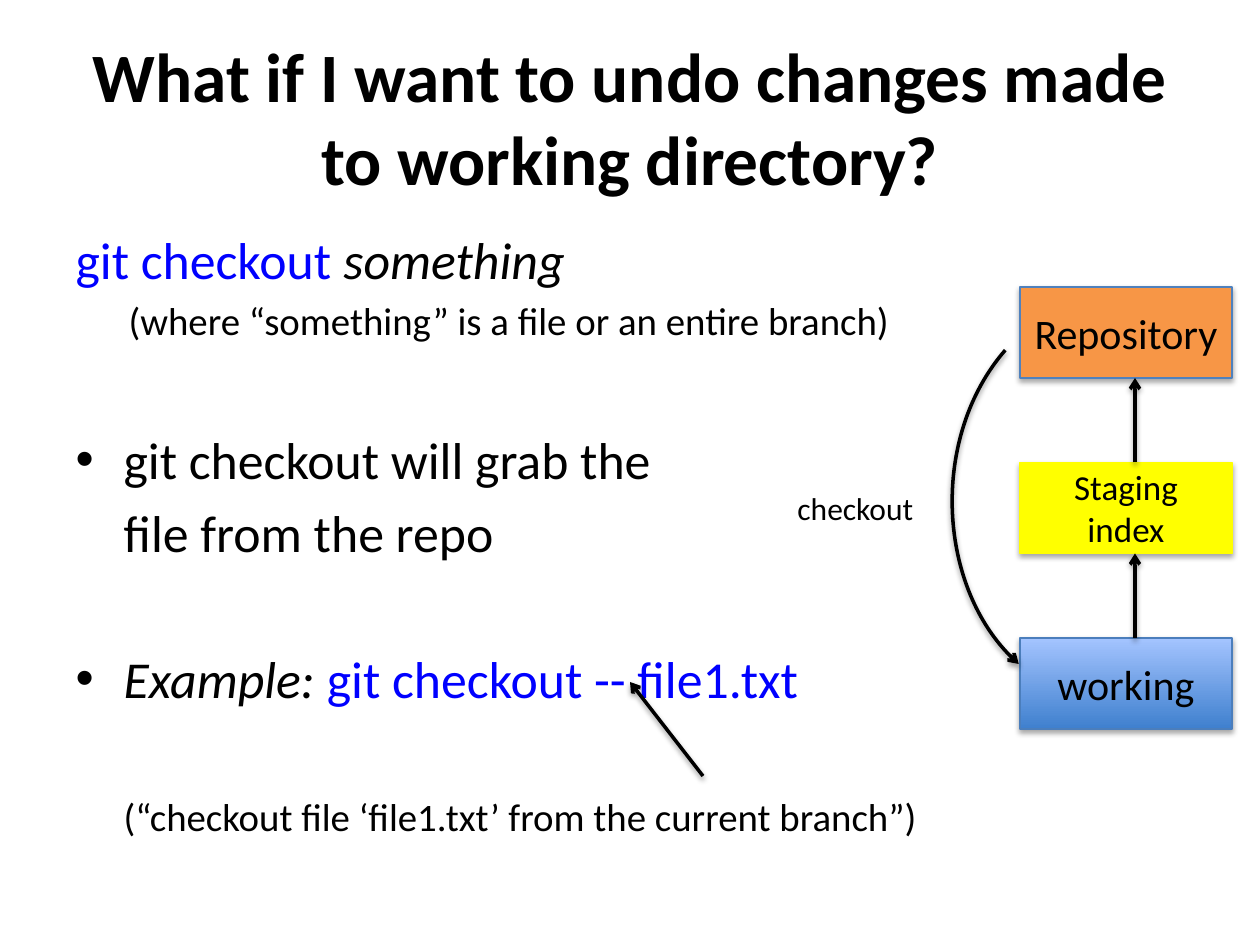
import lxml.etree
import pptx
import pptx.dml.color
import pptx.enum.shapes
import pptx.enum.text
import pptx.oxml.ns
import pptx.util

SCALE = 914400 / 126
FONT = "Calibri"
COLORS = {
    "text": "000000",
    "command": "0000FF",
    "repository": "F79646",
    "repository_line": "4F81BD",
    "staging": "FFFF00",
    "working_bottom": "3F80CE",
    "working_top": "A4C4FF",
    "working_line": "4B7EBC",
}


def px(length):
    """Turn a length in px into EMU."""
    return pptx.util.Emu(round(length * SCALE))


def color(name):
    """Return the named colour."""
    return pptx.dml.color.RGBColor.from_string(COLORS[name])


def place(shape, box):
    """Move and size a shape to a box in px."""
    shape.left, shape.top, shape.width, shape.height = map(px, box)


def add_run(paragraph, text, size, color_name="text", bold=False, italic=False):
    """Append one formatted run to a paragraph."""
    run = paragraph.add_run()
    run.text = text
    run.font.name = FONT
    run.font.size = pptx.util.Pt(size)
    run.font.bold = bold
    run.font.italic = italic
    run.font.color.rgb = color(color_name)


def add_arrow(shapes, start, end, kind="STRAIGHT"):
    """Add a black connector with an open arrowhead at its end."""
    connector = shapes.add_connector(
        pptx.enum.shapes.MSO_CONNECTOR[kind], *map(px, start + end))
    connector.line.color.rgb = color("text")
    connector.line.width = pptx.util.Pt(2)
    line = connector.element.spPr.find(pptx.oxml.ns.qn("a:ln"))
    lxml.etree.SubElement(line, pptx.oxml.ns.qn("a:tailEnd")).set("type", "arrow")
    return connector


def add_title(slide, box):
    """Fill the title placeholder."""
    title = slide.shapes.title
    place(title, box)
    frame = title.text_frame
    frame.auto_size = pptx.enum.text.MSO_AUTO_SIZE.NONE
    frame.vertical_anchor = pptx.enum.text.MSO_ANCHOR.MIDDLE
    paragraph = frame.paragraphs[0]
    paragraph.alignment = pptx.enum.text.PP_ALIGN.CENTER
    add_run(paragraph, "What if I want to undo changes made to working directory?",
            39.6, bold=True)


def format_body_paragraph(paragraph, indent, bullet, space):
    """Set the indent, bullet and space before of a body paragraph."""
    properties = paragraph._p.get_or_add_pPr()
    properties.set("marL", str(px(indent)))
    properties.set("indent", str(px(-indent if bullet else 0)))
    tag = "a:buChar" if bullet else "a:buNone"
    mark = lxml.etree.SubElement(properties, pptx.oxml.ns.qn(tag))
    if bullet:
        mark.set("char", "•")
    paragraph.space_before = pptx.util.Pt(space)


def add_body(slide, box):
    """Fill the body placeholder and point at the dashes in the example."""
    large, small = 29.6, 22.2
    lines = [
        (0, False, 0, [("git checkout ", large, "command"),
                       ("something", large, "text", False, True)]),
        (53, False, 4.4, [("(where “something” is a file or an entire branch)", small)]),
        (48, True, 48, [("git checkout will grab the", large)]),
        (48, False, 6, [("file from the repo", large)]),
        (48, True, 48, [("Example: ", large, "text", False, True),
                        ("git checkout -- file1.txt", large, "command")]),
        (48, False, 48, [("(“checkout file ‘file1.txt’ from the current branch”)", small)]),
    ]
    body = slide.placeholders[1]
    place(body, box)
    frame = body.text_frame
    frame.auto_size = pptx.enum.text.MSO_AUTO_SIZE.NONE
    for index, (indent, bullet, space, runs) in enumerate(lines):
        paragraph = frame.add_paragraph() if index else frame.paragraphs[0]
        format_body_paragraph(paragraph, indent, bullet, space)
        for run in runs:
            add_run(paragraph, *run)
    left, top = box[:2]
    add_arrow(slide.shapes, (left + 640, top + 555), (left + 567, top + 461))


def add_stage(shapes, box, text, size, fills, line):
    """Add one labelled stage, with a gradient if it has two fills."""
    stage = shapes.add_shape(
        pptx.enum.shapes.MSO_SHAPE.RECTANGLE, *map(px, box))
    if len(fills) == 2:
        stage.fill.gradient()
        stage.fill.gradient_angle = 90
        for stop, name in zip(stage.fill.gradient_stops, fills):
            stop.color.rgb = color(name)
            stop.position = fills.index(name)
    else:
        stage.fill.solid()
        stage.fill.fore_color.rgb = color(fills[0])
    stage.line.color.rgb = color(line)
    stage.line.width = pptx.util.Pt(0.75)
    frame = stage.text_frame
    frame.word_wrap = True
    frame.vertical_anchor = pptx.enum.text.MSO_ANCHOR.MIDDLE
    paragraph = frame.paragraphs[0]
    paragraph.alignment = pptx.enum.text.PP_ALIGN.CENTER
    add_run(paragraph, text, size)


def add_checkout_curve(shapes, left, top):
    """Add the curved arrow from the repository to the working stage."""
    curve = add_arrow(shapes, (left + 113, top + 328), (left + 341, top + 112), "CURVE")
    properties = curve.element.spPr
    properties.find(pptx.oxml.ns.qn("a:xfrm")).set("rot", str(131 * 60000))
    properties.find(pptx.oxml.ns.qn("a:prstGeom")).set("prst", "curvedConnector2")


def add_diagram(slide, box):
    """Draw the three stages, the arrows between them and the checkout label."""
    left, top, width, height = box
    stage_width, stage_height = 212, 91
    pitch = (height - stage_height) / 2
    stages = [
        ("Repository", 24, ["repository"], "repository_line"),
        ("Staging index", 20, ["staging"], "staging"),
        ("working", 24, ["working_bottom", "working_top"], "working_line"),
    ]
    shapes = slide.shapes.add_group_shape().shapes
    stage_left = left + width - stage_width
    for index, stage in enumerate(stages):
        stage_box = (stage_left, top + index * pitch, stage_width, stage_height)
        add_stage(shapes, stage_box, *stage)
    arrow_x = stage_left + 115
    for index in (1, 2):
        start_y = top + index * pitch
        add_arrow(shapes, (arrow_x, start_y),
                  (arrow_x, start_y - pitch + stage_height))
    add_checkout_curve(shapes, left, top)
    label = slide.shapes.add_textbox(*map(px, (left, top + 196, 144, 50)))
    label.text_frame.word_wrap = False
    add_run(label.text_frame.paragraphs[0], "checkout", 18)


def main():
    """Build the slide and save it."""
    presentation = pptx.Presentation()
    presentation.slide_width = px(1260)
    presentation.slide_height = px(945)
    slide = presentation.slides.add_slide(presentation.slide_layouts[1])
    add_title(slide, (63, 38, 1134, 157))
    add_body(slide, (63, 221, 1134, 624))
    add_diagram(slide, (785, 287, 447, 442))
    presentation.save("out.pptx")


if __name__ == "__main__":
    main()
